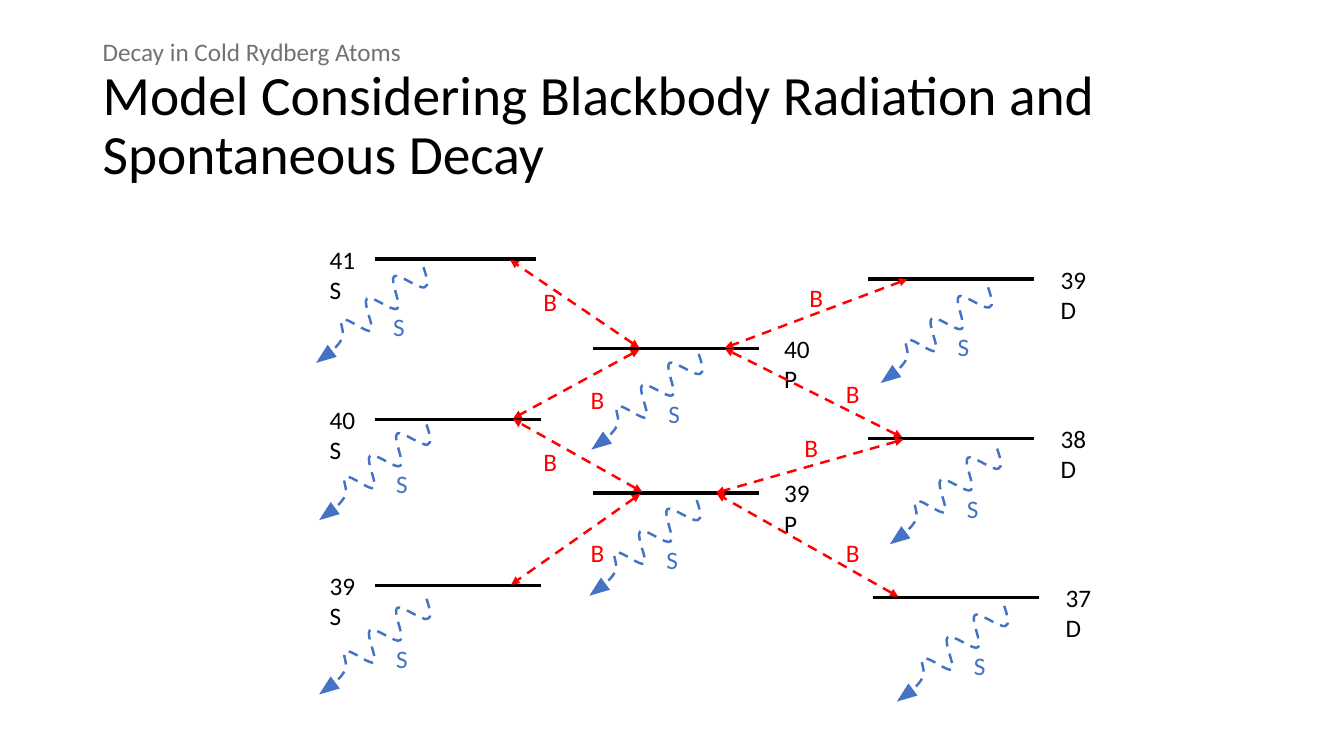
"""Build the slide on decay paths between Rydberg levels."""
from math import cos, radians, sin
from lxml.etree import SubElement
from pptx import Presentation
from pptx.dml.color import RGBColor
from pptx.enum.dml import MSO_LINE
from pptx.enum.shapes import MSO_CONNECTOR, MSO_SHAPE
from pptx.enum.text import MSO_ANCHOR
from pptx.oxml.ns import qn
from pptx.util import Inches, Pt

BLACK, RED, BLUE, GREY = "000000", "FF0000", "4472C4", "767171"
TITLE = [("Decay in Cold Rydberg Atoms", 18, GREY),
         ("Model Considering Blackbody Radiation and Spontaneous Decay", 39.6, BLACK)]
# name, left, y, width, label left, label width
LEVELS = [
    ("41S", 3.72, 2.57, 1.6, 3.17, 0.55),
    ("40S", 3.72, 4.16, 1.65, 3.17, 0.55),
    ("39S", 3.72, 5.81, 1.65, 3.17, 0.55),
    ("40P", 5.88, 3.46, 1.65, 7.68, 0.56),
    ("39P", 5.88, 4.89, 1.65, 7.68, 0.56),
    ("39D", 8.61, 2.77, 1.65, 10.42, 0.59),
    ("38D", 8.61, 4.35, 1.65, 10.42, 0.59),
    ("37D", 8.66, 5.93, 1.65, 10.47, 0.59),
]
# from, to, place of the B
JUMPS = [
    ((6.34, 3.45), (5.06, 2.58), (5.29, 2.79)),
    ((6.34, 3.47), (5.09, 4.15), (5.76, 3.76)),
    ((6.37, 4.88), (5.09, 4.16), (5.29, 4.38)),
    ((6.35, 4.9), (5.07, 5.8), (5.76, 5.28)),
    ((9, 2.77), (7.19, 3.45), (7.93, 2.75)),
    ((8.95, 4.34), (7.19, 3.46), (8.29, 3.7)),
    ((8.96, 4.36), (7.1, 4.89), (7.88, 4.24)),
    ((8.91, 5.92), (7.11, 4.9), (8.29, 5.28)),
]
DECAYS = [(4.21, 2.64), (4.24, 4.2), (4.24, 5.93), (6.94, 3.5),
          (6.92, 4.95), (9.81, 2.84), (9.9, 4.44), (9.97, 6)]
# start, then two handles and an end for each curve
WAVE = [
    (0, 0),
    (0.03, 0.09), (0.06, 0.19), (0.01, 0.2),
    (-0.04, 0.22), (-0.25, 0.06), (-0.29, 0.09),
    (-0.34, 0.13), (-0.21, 0.38), (-0.26, 0.41),
    (-0.3, 0.45), (-0.52, 0.27), (-0.56, 0.31),
    (-0.61, 0.35), (-0.48, 0.6), (-0.52, 0.63),
    (-0.56, 0.66), (-0.75, 0.5), (-0.8, 0.52),
    (-0.85, 0.53), (-0.77, 0.65), (-0.81, 0.71),
    (-0.84, 0.78), (-0.93, 0.85), (-1.01, 0.91),
]
MID, TURN = (-0.51, 0.46), 140.2


def color(code):
    return RGBColor.from_string(code)


def text(slide, runs, x, y, w, h, anchor=MSO_ANCHOR.TOP, space=None, font="Calibri"):
    frame = slide.shapes.add_textbox(Inches(x), Inches(y), Inches(w), Inches(h)).text_frame
    frame.word_wrap = True
    frame.vertical_anchor = anchor
    para = frame.paragraphs[0]
    para.line_spacing = space
    for i, (words, size, code) in enumerate(runs):
        if i:
            para.add_line_break()
        run = para.add_run()
        run.text = words
        run.font.name = font
        run.font.size = Pt(size)
        run.font.color.rgb = color(code)


def stroke(line, code, width, dash=False):
    line.color.rgb = color(code)
    line.width = Pt(width)
    if dash:
        line.dash_style = MSO_LINE.DASH


def link(slide, start, end, code, width, arrow=False):
    ends = [Inches(v) for v in (*start, *end)]
    item = slide.shapes.add_connector(MSO_CONNECTOR.STRAIGHT, *ends)
    stroke(item.line, code, width, arrow)
    props = item._element.spPr
    if arrow:
        for tag in ("a:headEnd", "a:tailEnd"):
            SubElement(props.find(qn("a:ln")), qn(tag), type="triangle")
    SubElement(props, qn("a:effectLst"))


def level(x, y):
    c, s = cos(radians(TURN)), sin(radians(TURN))
    spots = [(u - MID[0], v - MID[1]) for u, v in WAVE]
    return [(Inches(x + MID[0] + u * c + v * s), Inches(y + MID[1] + v * c - u * s))
            for u, v in spots]


def bend(shape):
    lines = list(shape._element.iter(qn("a:lnTo")))
    for n in range(0, len(lines), 3):
        curve = SubElement(lines[n].getparent(), qn("a:cubicBezTo"))
        for line in lines[n:n + 3]:
            curve.append(line[0])
            line.getparent().remove(line)


def decay(slide, x, y):
    first, *rest = level(x, y)
    pen = slide.shapes.build_freeform(*first)
    pen.add_line_segments(rest, close=False)
    wave = pen.convert_to_shape()
    bend(wave)
    wave.rotation = TURN
    wave.shadow.inherit = False
    wave.fill.background()
    stroke(wave.line, BLUE, 1.75, True)
    tip = slide.shapes.add_shape(MSO_SHAPE.ISOSCELES_TRIANGLE, Inches(x - 1.07),
                                 Inches(y + 0.8), Inches(0.15), Inches(0.2))
    tip.rotation = 233.2
    tip.shadow.inherit = False
    tip.fill.solid()
    tip.fill.fore_color.rgb = color(BLUE)
    tip.line.fill.background()
    text(slide, [("S", 18, BLUE)], x - 0.41, y + 0.4, 0.32, 0.4)


def main():
    deck = Presentation()
    deck.slide_width, deck.slide_height = Inches(13.33), Inches(7.5)
    slide = deck.slides.add_slide(deck.slide_layouts[6])
    text(slide, TITLE, 0.92, 0.4, 11.5, 1.45, anchor=MSO_ANCHOR.MIDDLE, space=0.9)
    for name, x, y, w, left, wide in LEVELS:
        link(slide, (x, y), (x + w, y), BLACK, 2.5)
        text(slide, [(name, 18, BLACK)], left, y - 0.2, wide, 0.39)
    for start, end, place in JUMPS:
        link(slide, start, end, RED, 1.75, arrow=True)
        text(slide, [("B", 18, RED)], *place, 0.32, 0.44)
    for x, y in DECAYS:
        decay(slide, x, y)
    deck.save("out.pptx")


if __name__ == "__main__":
    main()
